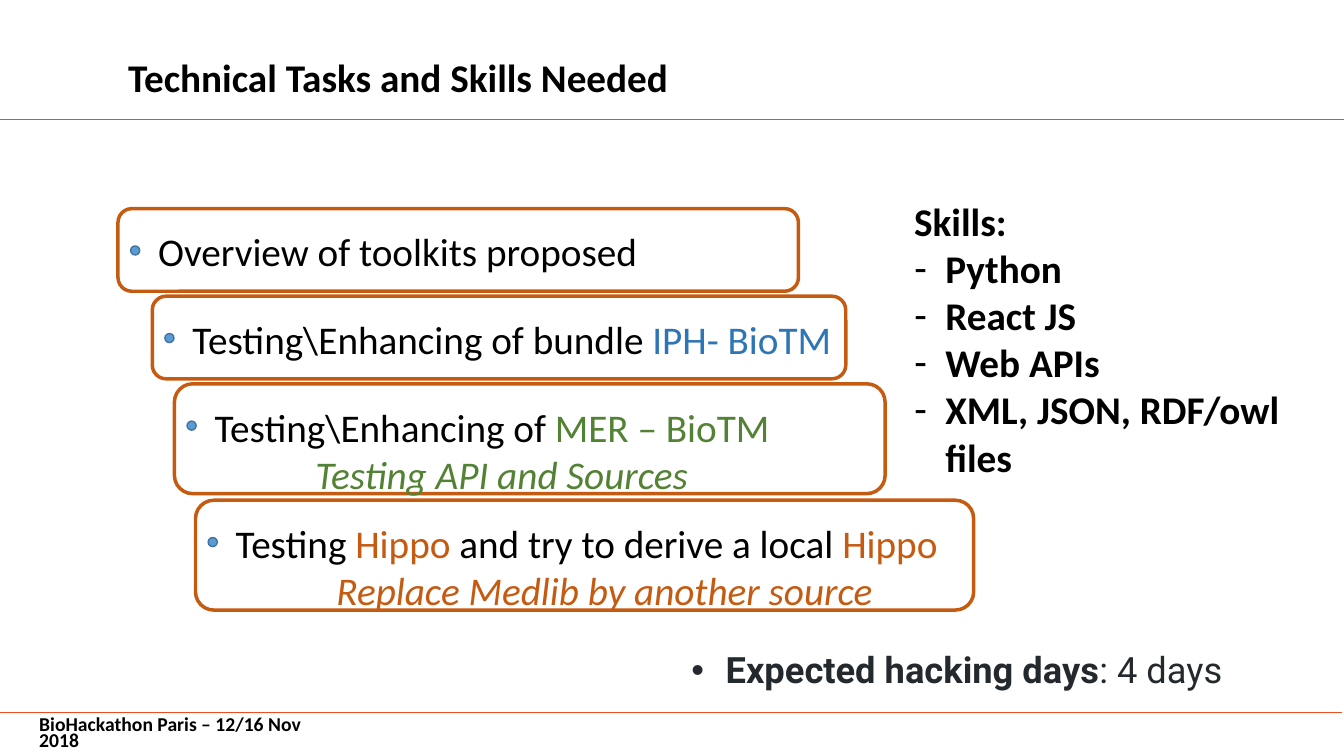
"""Build the slide of technical tasks and skills needed."""
from dataclasses import dataclass

from lxml import etree
from pptx import Presentation
from pptx.dml.color import RGBColor
from pptx.enum.shapes import MSO_CONNECTOR, MSO_SHAPE
from pptx.enum.text import MSO_ANCHOR, MSO_AUTO_SIZE, PP_ALIGN
from pptx.oxml.ns import qn
from pptx.slide import Slide
from pptx.text.text import TextFrame
from pptx.util import Emu, Inches, Pt

STRAIGHT = MSO_CONNECTOR.STRAIGHT
ROUNDED, OVAL = MSO_SHAPE.ROUNDED_RECTANGLE, MSO_SHAPE.OVAL
TOP, MIDDLE = MSO_ANCHOR.TOP, MSO_ANCHOR.MIDDLE
LEFT = PP_ALIGN.LEFT
NO_FIT = MSO_AUTO_SIZE.NONE
SLIDE_WIDTH, SLIDE_HEIGHT = Inches(13.33), Inches(7.5)


@dataclass(frozen=True)
class Theme:
    font: str = "Calibri"
    days_font: str = "Roboto"
    ink: str = "000000"
    days_ink: str = "24292E"
    rule: str = "EF4C22"
    orange: str = "C55A11"
    blue: str = "2E75B6"
    green: str = "548235"
    dot: str = "5B9BD5"
    dot_edge: str = "43739E"
    size: float = 28
    days_size: float = 25.9
    footer_size: float = 14


THEME = Theme()


@dataclass(frozen=True)
class Box:
    """Left, top, width and height in percent of the slide."""
    left: float
    top: float
    width: float
    height: float

    def lengths(self) -> tuple[Emu, Emu, Emu, Emu]:
        return across(self.left), down(self.top), across(self.width), down(self.height)


@dataclass(frozen=True)
class Span:
    text: str
    color: str = THEME.ink
    bold: bool = False
    italic: bool = False
    size: float = THEME.size
    font: str = THEME.font


@dataclass(frozen=True)
class Line:
    spans: tuple[Span, ...]
    indent: float = 0
    bullet: str = ""
    spacing: float = 1


@dataclass(frozen=True)
class Task:
    left: float
    width: float
    height: float
    text_width: float
    lines: tuple[Line, ...]


SHORT, TALL = 10.93, 14.53
TASKS_TOP, TASK_PITCH = 27.6, 1.06
TASKS = (
    Task(8.78, 50.63, SHORT, 37.5, (Line((Span("Overview of toolkits proposed"),)),)),
    Task(11.33, 51.6, SHORT, 49.35, (
        Line((Span("Testing\\Enhancing of bundle "), Span("IPH- BioTM", THEME.blue))),
    )),
    Task(12.98, 52.88, TALL, 43.28, (
        Line((Span("Testing\\Enhancing of "), Span("MER – BioTM", THEME.green))),
        Line((Span("Testing API and Sources", THEME.green, italic=True),), indent=1),
    )),
    Task(14.55, 57.9, TALL, 56.4, (
        Line((Span("Testing "), Span("Hippo ", THEME.orange),
              Span("and try to derive a local "), Span("Hippo", THEME.orange))),
        Line((Span("Replace Medlib by another source", THEME.orange, italic=True),), indent=1),
    )),
)
SKILLS = ("Python", "React JS", "Web APIs", "XML, JSON, RDF/owl files")
RULES = ((0, 15.73, 0.5), (-0.15, 94.27, 0.25))


def across(percent: float) -> Emu:
    return Emu(round(SLIDE_WIDTH * percent / 100))


def down(percent: float) -> Emu:
    return Emu(round(SLIDE_HEIGHT * percent / 100))


def color_of(value: str) -> RGBColor:
    return RGBColor.from_string(value)


def write(frame: TextFrame, lines: tuple[Line, ...], anchor: MSO_ANCHOR = TOP) -> None:
    frame.word_wrap = True
    frame.auto_size = NO_FIT
    frame.vertical_anchor = anchor
    for index, line in enumerate(lines):
        paragraph = frame.paragraphs[0] if index == 0 else frame.add_paragraph()
        paragraph.alignment = LEFT
        paragraph.line_spacing = line.spacing
        for span in line.spans:
            run = paragraph.add_run()
            run.text = span.text
            font = run.font
            font.name, font.size = span.font, Pt(span.size)
            font.bold, font.italic = span.bold, span.italic
            font.color.rgb = color_of(span.color)
        if line.indent:
            properties = paragraph._p.get_or_add_pPr()
            properties.set("marL", str(Inches(line.indent)))
            if line.bullet:
                properties.set("indent", str(-Inches(line.indent)))
                etree.SubElement(properties, qn("a:buFont"), typeface="Arial")
                etree.SubElement(properties, qn("a:buChar"), char=line.bullet)


def add_text(slide: Slide, box: Box, lines: tuple[Line, ...], anchor: MSO_ANCHOR = TOP) -> None:
    write(slide.shapes.add_textbox(*box.lengths()).text_frame, lines, anchor)


def add_outline(slide: Slide, kind: MSO_SHAPE, box: Box, edge: str, weight: float,
                fill: str = "") -> None:
    shape = slide.shapes.add_shape(kind, *box.lengths())
    shape.shadow.inherit = False
    shape.line.color.rgb = color_of(edge)
    shape.line.width = Pt(weight)
    if fill:
        shape.fill.solid()
        shape.fill.fore_color.rgb = color_of(fill)
    else:
        shape.fill.background()


def add_rule(slide: Slide, left: float, top: float, weight: float) -> None:
    connector = slide.shapes.add_connector(
        STRAIGHT, across(left), down(top), across(left + 100), down(top))
    connector.line.color.rgb = color_of(THEME.rule)
    connector.line.width = Pt(weight)
    etree.SubElement(connector._element.spPr, qn("a:effectLst"))


def add_task(slide: Slide, task: Task, top: float) -> None:
    add_outline(slide, ROUNDED, Box(task.left, top, task.width, task.height), THEME.orange, 2.5)
    add_outline(slide, OVAL, Box(task.left + 0.94, top + 4.93, 0.68, 1.2),
                THEME.dot_edge, 1, THEME.dot)
    add_text(slide, Box(task.left + 2.25, top + 1.87, task.text_width, task.height - 2), task.lines)


def main() -> None:
    presentation = Presentation()
    presentation.slide_width, presentation.slide_height = SLIDE_WIDTH, SLIDE_HEIGHT
    slide = presentation.slides.add_slide(presentation.slide_layouts.get_by_name("Title Only"))

    for rule in RULES:
        add_rule(slide, *rule)
    title = slide.shapes.title
    title.left, title.top, title.width, title.height = Box(8.78, 5.33, 82.65, 10.4).lengths()
    heading = Span("Technical Tasks and Skills Needed", bold=True)
    write(title.text_frame, (Line((heading,), spacing=0.9),), MIDDLE)
    footer = Span("BioHackathon Paris – 12/16 Nov 2018", bold=True, size=THEME.footer_size)
    add_text(slide, Box(2.18, 94.93, 23.78, 4.53), (Line((footer,), spacing=0.7),), MIDDLE)

    top = TASKS_TOP
    for task in TASKS:
        add_task(slide, task, top)
        top += task.height * TASK_PITCH

    days = tuple(Span(text, THEME.days_ink, bold, size=THEME.days_size, font=THEME.days_font)
                 for text, bold in (("Expected hacking days", True), (": 4 days", False)))
    add_text(slide, Box(50.7, 85.6, 49.28, 6.67), (Line(days, 0.34, "•", 0.9),))
    skills = tuple(Line((Span(skill, bold=True),), 0.31, "-") for skill in SKILLS)
    add_text(slide, Box(67.28, 25.47, 32.72, 36.8),
             (Line((Span("Skills:", bold=True),)), *skills))
    presentation.save("out.pptx")


if __name__ == "__main__":
    main()
